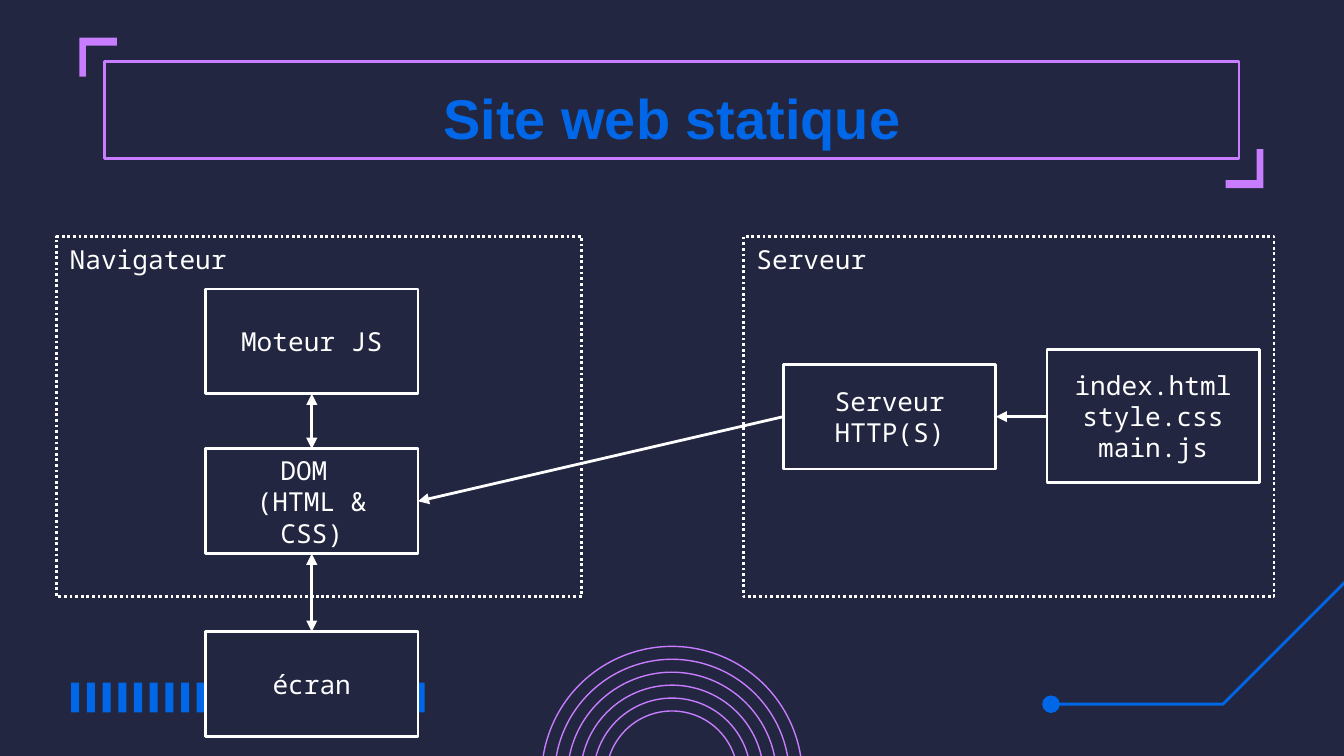
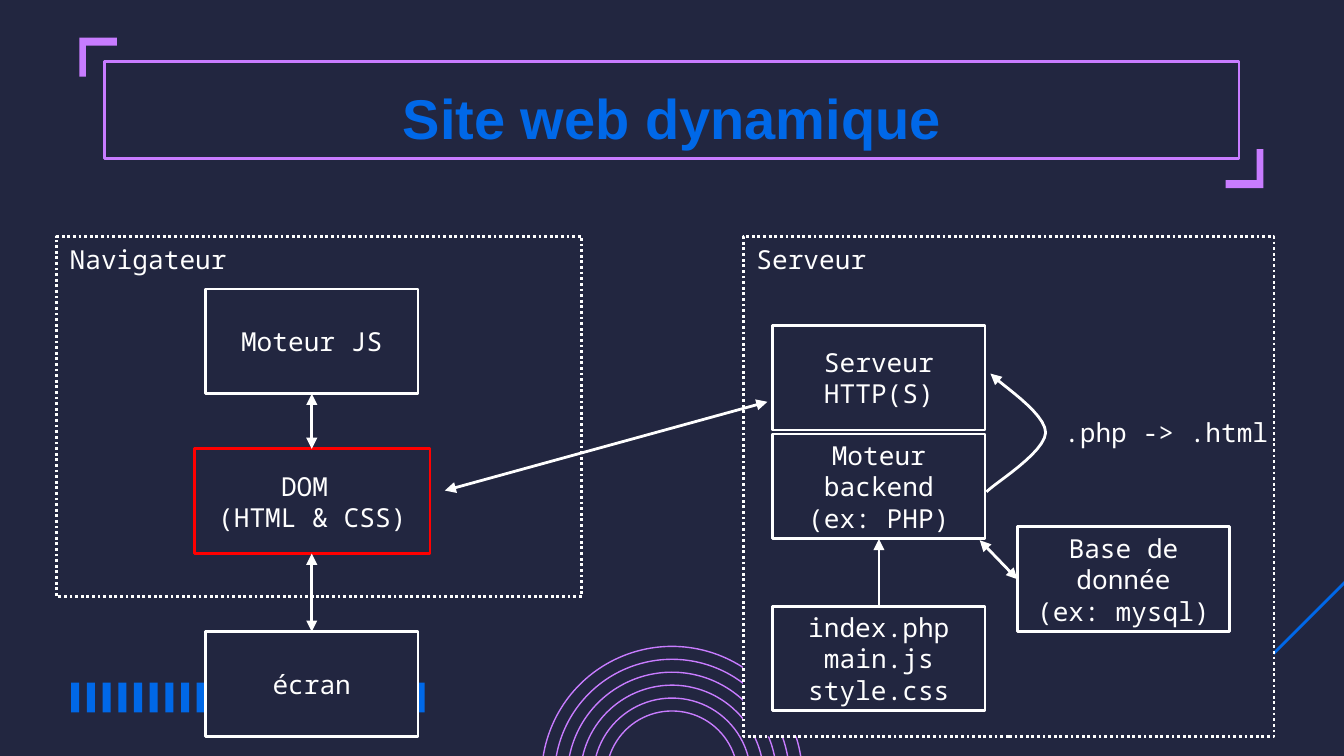
from copy import deepcopy

from lxml import etree
from pptx import Presentation
from pptx.dml.color import RGBColor
from pptx.enum.dml import MSO_LINE
from pptx.enum.shapes import MSO_CONNECTOR, MSO_SHAPE
from pptx.enum.text import MSO_ANCHOR, MSO_AUTO_SIZE, PP_ALIGN
from pptx.oxml.ns import qn
from pptx.util import Inches, Pt

RECT, OVAL = MSO_SHAPE.RECTANGLE, MSO_SHAPE.OVAL
STRAIGHT = MSO_CONNECTOR.STRAIGHT
DOTTED = MSO_LINE.ROUND_DOT
TOP, MIDDLE = MSO_ANCHOR.TOP, MSO_ANCHOR.MIDDLE
LEFT, CENTER = PP_ALIGN.LEFT, PP_ALIGN.CENTER
NO_FIT = MSO_AUTO_SIZE.NONE

COLORS = {
    "night": "222640",
    "blue": "0068E8",
    "violet": "C87CFF",
    "white": "FFFFFF",
    "red": "FF0000",
}


def write(tf, text, font="Noto Sans Mono", size=14, color="white", bold=False,
          align=LEFT, anchor=TOP, insets=(0.1, 0.05, 0.1, 0.05)):
    tf.word_wrap = True
    tf.auto_size = NO_FIT
    tf.vertical_anchor = anchor
    tf.margin_left, tf.margin_top, tf.margin_right, tf.margin_bottom = map(Inches, insets)
    tf.text = text
    for p in tf.paragraphs:
        p.alignment = align
        for r in p.runs:
            r.font.name = font
            r.font.size = Pt(size)
            r.font.bold = bold
            r.font.color.rgb = RGBColor.from_string(COLORS[color])
        for br in p._p.findall(qn("a:br")):
            br.append(deepcopy(p.runs[0]._r.rPr))


def paint(sp, fill=None, line=None, width=1.5, dash=None, ends=()):
    if hasattr(sp, "fill"):
        sp.shadow.inherit = False
        if fill:
            sp.fill.solid()
            sp.fill.fore_color.rgb = RGBColor.from_string(COLORS[fill])
        else:
            sp.fill.background()
    if line:
        sp.line.color.rgb = RGBColor.from_string(COLORS[line])
        sp.line.width = Pt(width)
        if dash:
            sp.line.dash_style = dash
    else:
        sp.line.fill.background()
    for end in ends:
        etree.SubElement(sp.line._get_or_add_ln(), qn(f"a:{end}End"), type="triangle")
    if not hasattr(sp, "fill"):
        etree.SubElement(sp._element.spPr, qn("a:effectLst"))


BROWSER = [
    ("Moteur JS", 1.53, 2.15, 1.58, 0.78, "white"),
    ("écran", 1.53, 4.7, 1.58, 0.78, "white"),
]
BROWSER_ARROWS = [
    (2.32, 2.93, 2.32, 3.34, ("head", "tail")),
    (2.32, 4.7, 2.32, 4.12, ("head", "tail")),
]
SLIDES = [
    {
        "title": "Site web statique",
        "server_height": 2.68,
        "boxes": [
            ("Serveur\vHTTP(S)", 5.83, 2.71, 1.58, 0.78, "white"),
            ("index.html\vstyle.css\nmain.js", 7.79, 2.6, 1.58, 0.99, "white"),
            ("DOM \v(HTML & CSS)", 1.53, 3.34, 1.58, 0.78, "white"),
        ],
        "arrows": [
            (7.41, 3.1, 7.79, 3.1, ("head",)),
            (3.11, 3.73, 5.83, 3.1, ("head",)),
        ],
    },
    {
        "title": "Site web dynamique",
        "server_height": 3.72,
        "boxes": [
            ("Serveur\vHTTP(S)", 5.75, 2.42, 1.58, 0.78, "white"),
            ("DOM \v(HTML & CSS)", 1.45, 3.34, 1.75, 0.78, "red"),
            ("Moteur backend (ex: PHP)", 5.75, 3.23, 1.58, 0.78, "white"),
            ("index.php\vmain.js\vstyle.css", 5.75, 4.51, 1.58, 0.78, "white"),
            ("Base de donnée\n(ex: mysql)", 7.57, 3.92, 1.58, 0.78, "white"),
        ],
        "arrows": [
            (3.31, 3.65, 5.71, 2.99, ("head", "tail")),
            (6.54, 4.01, 6.54, 4.51, ("head",)),
            (7.29, 4.02, 7.57, 4.31, ("head", "tail")),
        ],
    },
]

CORNER = [(9.4, 1.11), (9.4, 1.4), (9.12, 1.4), (9.12, 1.34), (9.35, 1.34), (9.35, 1.11)]
OPPOSITE = [(9.99 - x, 1.68 - y) for x, y in CORNER]
TRACE = [(10.56, 3.78), (9.1, 5.24), (7.82, 5.24)]
BARS, STEPS = 23, 12
LOOP = [
    ((7.34, 3.66), (7.41, 3.59), (7.77, 3.37), (7.78, 3.22)),
    ((7.78, 3.22), (7.78, 3.07), (7.43, 2.85), (7.37, 2.78)),
]

prs = Presentation()
prs.slide_width = Inches(10)
prs.slide_height = prs.slide_width * 9 // 16

for data in SLIDES:
    s = prs.slides.add_slide(prs.slide_layouts[5])
    s.background.fill.solid()
    s.background.fill.fore_color.rgb = RGBColor.from_string(COLORS["night"])

    for i in range(6):
        radius = 0.49 + 0.48 * i / 5
        sp = s.shapes.add_shape(OVAL, Inches(5 - radius), Inches(5.78 - radius),
                                Inches(2 * radius), Inches(2 * radius))
        paint(sp, line="violet", width=0.75)

    fb = s.shapes.build_freeform(Inches(0.53), Inches(5.08))
    for i in range(BARS):
        x = 0.53 + 2.57 * i / (BARS - 1)
        if i:
            fb.move_to(Inches(x), Inches(5.08))
        corners = [(x, 5.3), (x + 0.06, 5.3), (x + 0.06, 5.08)]
        fb.add_line_segments([(Inches(a), Inches(b)) for a, b in corners], close=True)
    paint(fb.convert_to_shape(), fill="blue")

    outlines = [
        (TRACE, False, {"line": "blue"}),
        (CORNER, True, {"fill": "violet"}),
        (OPPOSITE, True, {"fill": "violet"}),
    ]
    for points, closed, look in outlines:
        points = [(Inches(x), Inches(y)) for x, y in points]
        fb = s.shapes.build_freeform(*points[0])
        fb.add_line_segments(points[1:], close=closed)
        paint(fb.convert_to_shape(), **look)

    if data is SLIDES[0]:
        sp = s.shapes.add_shape(OVAL, Inches(7.76), Inches(5.18), Inches(0.12), Inches(0.12))
        paint(sp, fill="blue", line="blue", width=0.75)

    sp = s.shapes.add_shape(RECT, Inches(0.78), Inches(0.46), Inches(8.44), Inches(0.72))
    paint(sp, line="violet")

    title = s.shapes.title
    title.left, title.top = Inches(0.78), Inches(0.49)
    title.width, title.height = Inches(8.44), Inches(0.63)
    write(title.text_frame, data["title"], font="Arial", size=30, color="blue", bold=True,
          align=CENTER, insets=(0.1, 0.13, 0.1, 0.1))

    zones = [("Serveur", 5.53, 3.95, data["server_height"]), ("Navigateur", 0.42, 3.91, 2.68)]
    for name, x, w, h in zones:
        sp = s.shapes.add_shape(RECT, Inches(x), Inches(1.76), Inches(w), Inches(h))
        paint(sp, fill="night", line="white", dash=DOTTED)
        write(sp.text_frame, name)

    for text, x, y, w, h, outline in data["boxes"] + BROWSER:
        sp = s.shapes.add_shape(RECT, Inches(x), Inches(y), Inches(w), Inches(h))
        paint(sp, fill="night", line=outline)
        write(sp.text_frame, text, align=CENTER, anchor=MIDDLE)

    for x1, y1, x2, y2, ends in data["arrows"] + BROWSER_ARROWS:
        sp = s.shapes.add_connector(STRAIGHT, Inches(x1), Inches(y1), Inches(x2), Inches(y2))
        paint(sp, line="white", ends=ends)

s = prs.slides[1]
curve = []
for a, b, c, d in LOOP:
    for i in range(1, STEPS + 1):
        t = i / STEPS
        u = 1 - t
        curve.append(tuple(
            Inches(u**3 * a[k] + 3 * u * u * t * b[k] + 3 * u * t * t * c[k] + t**3 * d[k])
            for k in range(2)))
fb = s.shapes.build_freeform(Inches(7.34), Inches(3.66))
fb.add_line_segments(curve, close=False)
paint(fb.convert_to_shape(), line="white", ends=("tail",))

sp = s.shapes.add_textbox(Inches(7.82), Inches(3), Inches(1.96), Inches(0.44))
write(sp.text_frame, ".php -> .html", insets=(0.1, 0.1, 0.1, 0.1))

prs.save("out.pptx")
